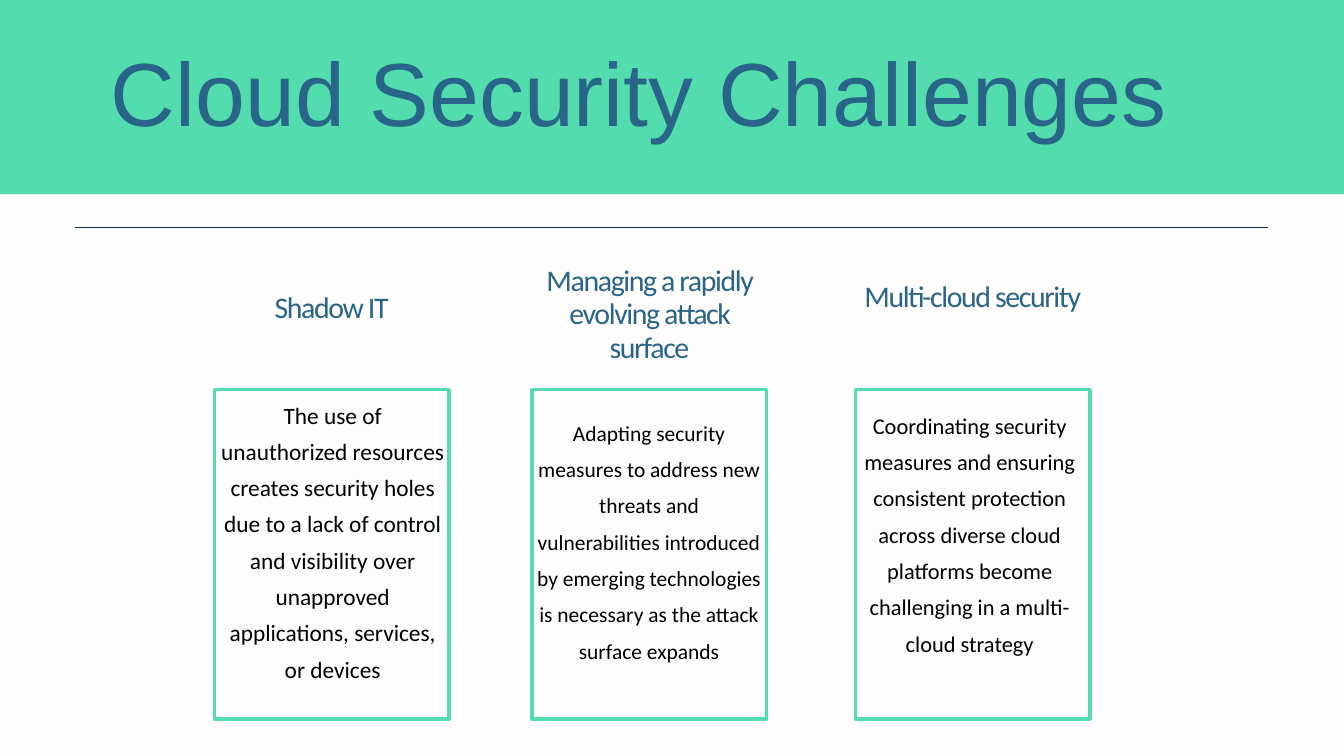
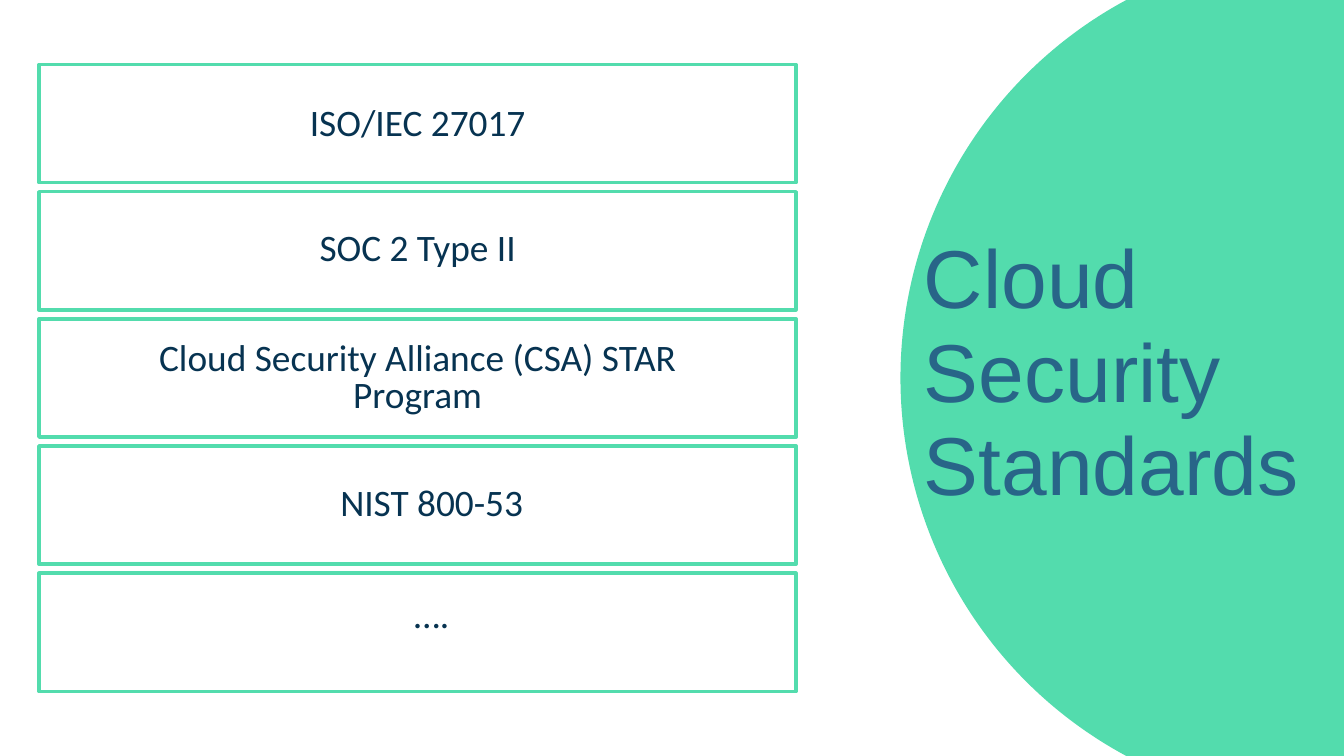
from dataclasses import dataclass
from typing import NamedTuple

from lxml.etree import SubElement
from pptx import Presentation
from pptx.dml.color import RGBColor
from pptx.enum.shapes import MSO_CONNECTOR as Connector, MSO_SHAPE as Shape
from pptx.enum.text import MSO_AUTO_SIZE as AutoSize, PP_ALIGN as Align
from pptx.oxml.ns import qn
from pptx.slide import Slide
from pptx.util import Inches, Pt

SLIDE_WIDTH, SLIDE_HEIGHT = Inches(20), Inches(11.25)
COLUMN, ROW = SLIDE_WIDTH / 80, SLIDE_HEIGHT / 45

MINT, BLUE, NAVY, BLACK = "53DCAD", "286588", "073351", "000000"
CREAM, WHITE = "FFFDFC", "FFFFFF"
BORDER = 3.75


class Frame(NamedTuple):
    column: float
    row: float
    columns: float
    rows: float

    def lengths(self) -> tuple[int, ...]:
        return tuple(
            round(count * unit) for count, unit in zip(self, (COLUMN, ROW, COLUMN, ROW))
        )


@dataclass(frozen=True)
class Style:
    font: str
    size: float
    leading: float
    color: str
    align: Align = Align.CENTER
    tracking: float = 0


@dataclass(frozen=True)
class Challenge:
    column: float
    heading: str
    heading_row: float
    heading_rows: float
    body: str
    body_inset: float
    body_row: float
    body_rows: float
    body_size: float


@dataclass(frozen=True)
class Standard:
    name: str
    column: float
    row: float
    rows: float = 2.24


WIDE_TITLE = Style("Arial", 96, 80, BLUE, Align.LEFT)
SIDE_TITLE = Style("Arial", 88, 100, BLUE, Align.LEFT)
HEADING = Style("Calibri", 32, 36, BLUE, tracking=-1.5)
STANDARD = Style("Calibri", 40, 40, NAVY)

CARD_ROW, CARD_COLUMNS, CARD_ROWS = 23.2, 13.96, 19.6
BODY_COLUMNS = 13.44
CHALLENGES = (
    Challenge(
        12.76, "Shadow IT", 17.32, 2,
        "The use of unauthorized resources creates security holes due to a lack of "
        "control and visibility over unapproved applications, services, or devices",
        0.32, 23.36, 19.44, 25,
    ),
    Challenge(
        31.68, "Managing a rapidly evolving attack surface", 15.68, 6,
        "Adapting security measures to address new threats and vulnerabilities "
        "introduced by emerging technologies is necessary as the attack surface expands",
        0.24, 24.36, 17.24, 23,
    ),
    Challenge(
        50.92, "Multi-cloud security", 16.64, 4,
        "Coordinating security measures and ensuring consistent protection across "
        "diverse cloud platforms become challenging in a multi-cloud strategy",
        0.08, 23.96, 17.24, 24,
    ),
)

FIRST_BAR = Frame(2.32, 3.84, 45.06, 7.04)
BAR_PITCH = 7.57
STANDARDS = (
    Standard("ISO/IEC 27017", 8.6, 6.32),
    Standard("SOC 2 Type II", 8.6, 13.8),
    Standard("Cloud Security Alliance (CSA) STAR Program", 8.6, 20.32, 4.48),
    Standard("NIST 800-53", 9.44, 28.96),
    Standard("….", 9.44, 35.64),
)


def rgb(value: str) -> RGBColor:
    return RGBColor.from_string(value)


def add_page(deck: Presentation, background: str) -> Slide:
    page = deck.slides.add_slide(deck.slide_layouts[6])
    page.background.fill.solid()
    page.background.fill.fore_color.rgb = rgb(background)
    return page


def add_filled(page: Slide, kind: Shape, frame: Frame) -> None:
    shape = page.shapes.add_shape(kind, *frame.lengths())
    shape.shadow.inherit = False
    shape.fill.solid()
    shape.fill.fore_color.rgb = rgb(MINT)
    shape.line.fill.background()


def add_outline(page: Slide, frame: Frame) -> None:
    shape = page.shapes.add_shape(Shape.RECTANGLE, *frame.lengths())
    shape.shadow.inherit = False
    shape.fill.background()
    shape.line.color.rgb = rgb(MINT)
    shape.line.width = Pt(BORDER)


def add_rule(page: Slide, frame: Frame) -> None:
    left, top, width, height = frame.lengths()
    rule = page.shapes.add_connector(
        Connector.STRAIGHT, left, top, left + width, top + height
    )
    rule.line.color.rgb = rgb(NAVY)
    rule.line.width = Pt(0.75)
    SubElement(rule._element.spPr, qn("a:effectLst"))


def add_text(page: Slide, frame: Frame, text: str, style: Style) -> None:
    box = page.shapes.add_textbox(*frame.lengths()).text_frame
    box.margin_left = box.margin_right = box.margin_top = box.margin_bottom = 0
    box.word_wrap = True
    box.auto_size = AutoSize.SHAPE_TO_FIT_TEXT
    para = box.paragraphs[0]
    para.text = text
    para.alignment = style.align
    para.line_spacing = Pt(style.leading)
    para.font.name = style.font
    para.font.size = Pt(style.size)
    para.font.color.rgb = rgb(style.color)
    if style.tracking:
        defaults = para._p.get_or_add_pPr().get_or_add_defRPr()
        defaults.set("spc", str(round(style.tracking * 100)))


def add_challenge(page: Slide, item: Challenge) -> None:
    add_outline(page, Frame(item.column, CARD_ROW, CARD_COLUMNS, CARD_ROWS))
    heading = Frame(item.column, item.heading_row, CARD_COLUMNS, item.heading_rows)
    add_text(page, heading, item.heading, HEADING)
    body = Frame(
        item.column + item.body_inset, item.body_row, BODY_COLUMNS, item.body_rows
    )
    add_text(page, body, item.body, Style("Calibri", item.body_size, 38.9, BLACK))


def build_challenges(deck: Presentation) -> None:
    page = add_page(deck, CREAM)
    add_filled(page, Shape.RECTANGLE, Frame(0, 0, 80, 11.56))
    add_rule(page, Frame(4.48, 13.52, 71, 0))
    add_text(page, Frame(6.6, 4.16, 66.84, 4.48), "Cloud Security Challenges", WIDE_TITLE)
    for item in CHALLENGES:
        add_challenge(page, item)


def build_standards(deck: Presentation) -> None:
    page = add_page(deck, WHITE)
    add_filled(page, Shape.OVAL, Frame(53.6, -3.04, 51.04, 51.08))
    add_text(page, Frame(55, 13.8, 31.32, 16.84), "Cloud Security Standards", SIDE_TITLE)
    for index, item in enumerate(STANDARDS):
        add_outline(page, FIRST_BAR._replace(row=FIRST_BAR.row + index * BAR_PITCH))
        add_text(page, Frame(item.column, item.row, 32.52, item.rows), item.name, STANDARD)


def main() -> None:
    deck = Presentation()
    deck.slide_width, deck.slide_height = SLIDE_WIDTH, SLIDE_HEIGHT
    build_challenges(deck)
    build_standards(deck)
    deck.save("out.pptx")


if __name__ == "__main__":
    main()
